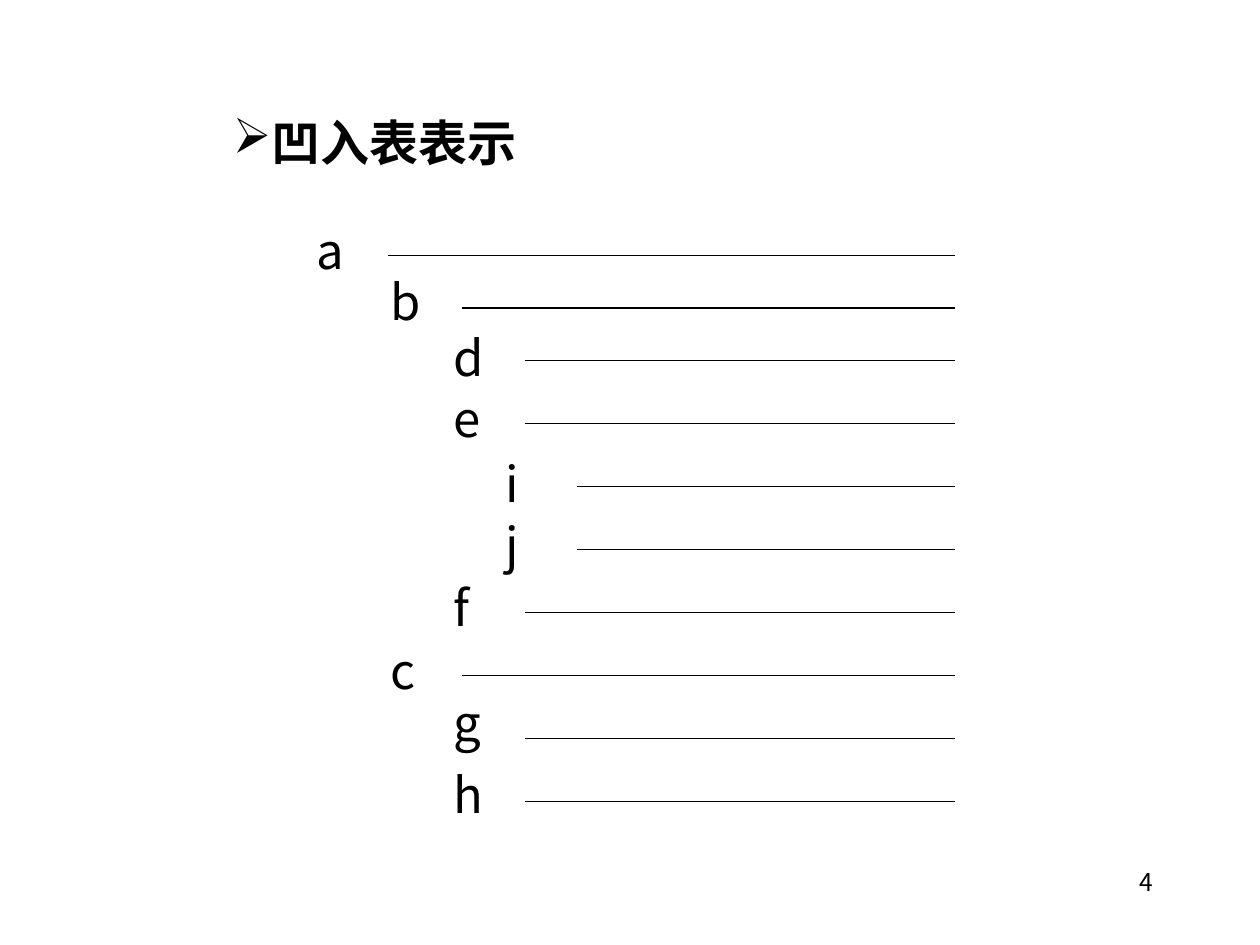
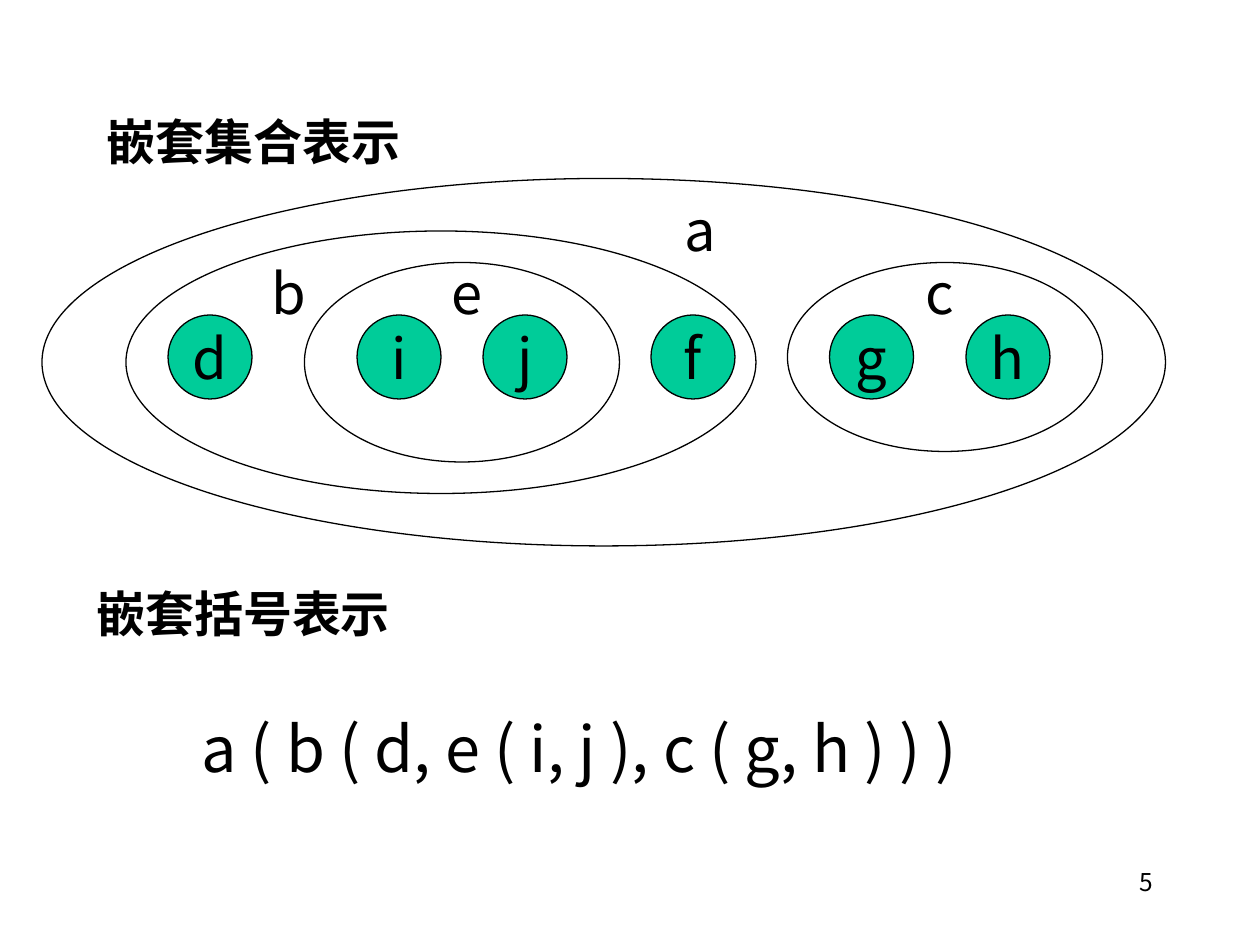
from lxml import etree
from pptx import Presentation
from pptx import util as u
from pptx.dml.color import RGBColor
from pptx.enum import shapes, text
from pptx.oxml import ns

BLACK = RGBColor(0, 0, 0)
GREEN = RGBColor(0x00, 0xCC, 0x99)
FONT = "Noto Sans CJK JP"
COLUMNS, ROWS = 120, 90          # grid of square cells, twelve to the inch
CELL = u.Inches(10) / COLUMNS
LINE_WIDTH = u.Pt(0.75)

# Indented list: label column of each tree level, then letter, level, label row
LEVEL_COLUMNS = (29, 36, 42, 47)
INDENTED_NODES = (
    ("a", 0, 20.4), ("b", 1, 25.3), ("d", 2, 30.6), ("e", 2, 36.4),
    ("i", 3, 42.6), ("j", 3, 48.4), ("f", 2, 54.4), ("c", 1, 60.4),
    ("g", 2, 65.4), ("h", 2, 72.2),
)
RULE_GAP, RULE_END = 8, 91

# Nested sets: leaf columns, oval boxes, and set label positions
LEAVES = {"i": 34, "j": 46, "d": 16, "f": 62, "g": 79, "h": 92}
SET_OVALS = ((29, 25, 30, 19), (75, 25, 30, 18), (12, 22, 60, 25), (4, 17, 107, 35))
SET_LABELS = (("a", 64, 18, text.PP_ALIGN.LEFT), ("b", 23, 24, text.PP_ALIGN.CENTER),
              ("c", 85, 24, text.PP_ALIGN.CENTER), ("e", 40, 24, text.PP_ALIGN.CENTER))


def cells(*counts):
    return [u.Emu(round(count * CELL)) for count in counts]


def write(shape, words, size=28, bold=False, align=text.PP_ALIGN.LEFT,
          before=0, spacing=None, bullet=None):
    """Put one formatted paragraph into a shape."""
    paragraph = shape.text_frame.paragraphs[0]
    paragraph.alignment = align
    paragraph.space_before = u.Pt(before)
    if spacing:
        paragraph.line_spacing = spacing
    if bullet:
        mark = etree.SubElement(paragraph._p.get_or_add_pPr(), ns.qn("a:buChar"))
        mark.set("char", bullet)
    run = paragraph.add_run()
    run.text = words
    run.font.size = u.Pt(size)
    run.font.bold = bold
    run.font.color.rgb = BLACK
    run.font.name = FONT
    east_asian = etree.SubElement(run._r.get_or_add_rPr(), ns.qn("a:ea"))
    east_asian.set("typeface", FONT)


def add_text(slide, words, box, grow=True, **style):
    shape = slide.shapes.add_textbox(*cells(*box))
    shape.text_frame.word_wrap = True
    if grow:
        shape.text_frame.auto_size = text.MSO_AUTO_SIZE.SHAPE_TO_FIT_TEXT
    write(shape, words, **style)


def add_heading(slide, words, box, **style):
    add_text(slide, words, box, bold=True, **style)


def add_rule(slide, left, right, row):
    line = slide.shapes.add_connector(
        shapes.MSO_CONNECTOR.STRAIGHT, *cells(left, row, right, row))
    line.line.color.rgb = BLACK
    line.line.width = LINE_WIDTH
    etree.SubElement(line._element.spPr, ns.qn("a:effectLst"))


def add_oval(slide, box, fill=None, label=None):
    oval = slide.shapes.add_shape(shapes.MSO_SHAPE.OVAL, *cells(*box))
    oval.shadow.inherit = False
    oval.line.color.rgb = BLACK
    oval.line.width = LINE_WIDTH
    if fill is None:
        oval.fill.background()
    else:
        oval.fill.solid()
        oval.fill.fore_color.rgb = fill
    if label:
        oval.text_frame.word_wrap = False
        oval.text_frame.vertical_anchor = text.MSO_ANCHOR.MIDDLE
        write(oval, label, size=32, align=text.PP_ALIGN.CENTER)


def add_slide(presentation, number):
    """Blank slide with its page number."""
    slide = presentation.slides.add_slide(presentation.slide_layouts[6])
    add_text(slide, str(number), (86, 82, 25, 6), grow=False, size=14,
             align=text.PP_ALIGN.RIGHT, before=8.8)
    return slide


def build_indented_list(slide):
    add_heading(slide, "凹入表表示", (21, 8.4, 60, 8.5),
                before=17.5, spacing=1.3, bullet="➢")
    for index, (letter, level, row) in enumerate(INDENTED_NODES):
        column = LEVEL_COLUMNS[level]
        add_text(slide, letter, (column, row, 6, 6.8), before=17.5)
        # The first three rules are one cell closer together than the rest
        rule_row = 24.33 + 5 * index + max(0, index - 2)
        add_rule(slide, column + RULE_GAP, RULE_END, rule_row)


def build_nested_sets(slide):
    add_heading(slide, "嵌套集合表示", (9, 10, 33, 6.8))
    for letter, column in LEAVES.items():
        add_oval(slide, (column, 30, 8, 8), fill=GREEN, label=letter)
    for box in SET_OVALS:
        add_oval(slide, box)
    for letter, column, row, align in SET_LABELS:
        add_text(slide, letter, (column, row, 9, 7.7), size=32,
                 align=align, before=20)


def build_nested_brackets(slide):
    add_heading(slide, "嵌套括号表示", (8, 55, 33, 6.8))
    add_text(slide, "a ( b ( d, e ( i, j ), c ( g, h ) ) )", (18, 67, 89, 8.4),
             size=36, before=22.5)


def main():
    presentation = Presentation()
    presentation.slide_width, presentation.slide_height = cells(COLUMNS, ROWS)
    build_indented_list(add_slide(presentation, 4))
    sets_slide = add_slide(presentation, 5)
    build_nested_sets(sets_slide)
    build_nested_brackets(sets_slide)
    presentation.save("out.pptx")


if __name__ == "__main__":
    main()
